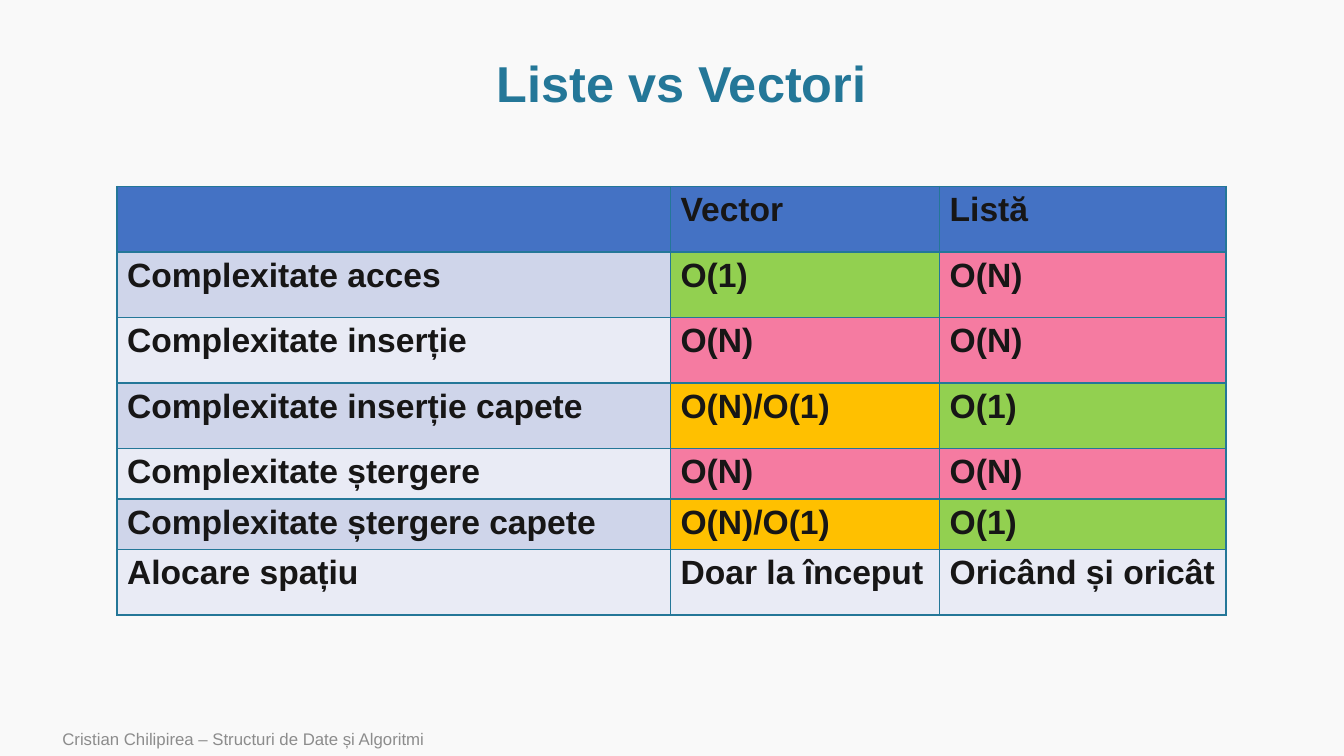
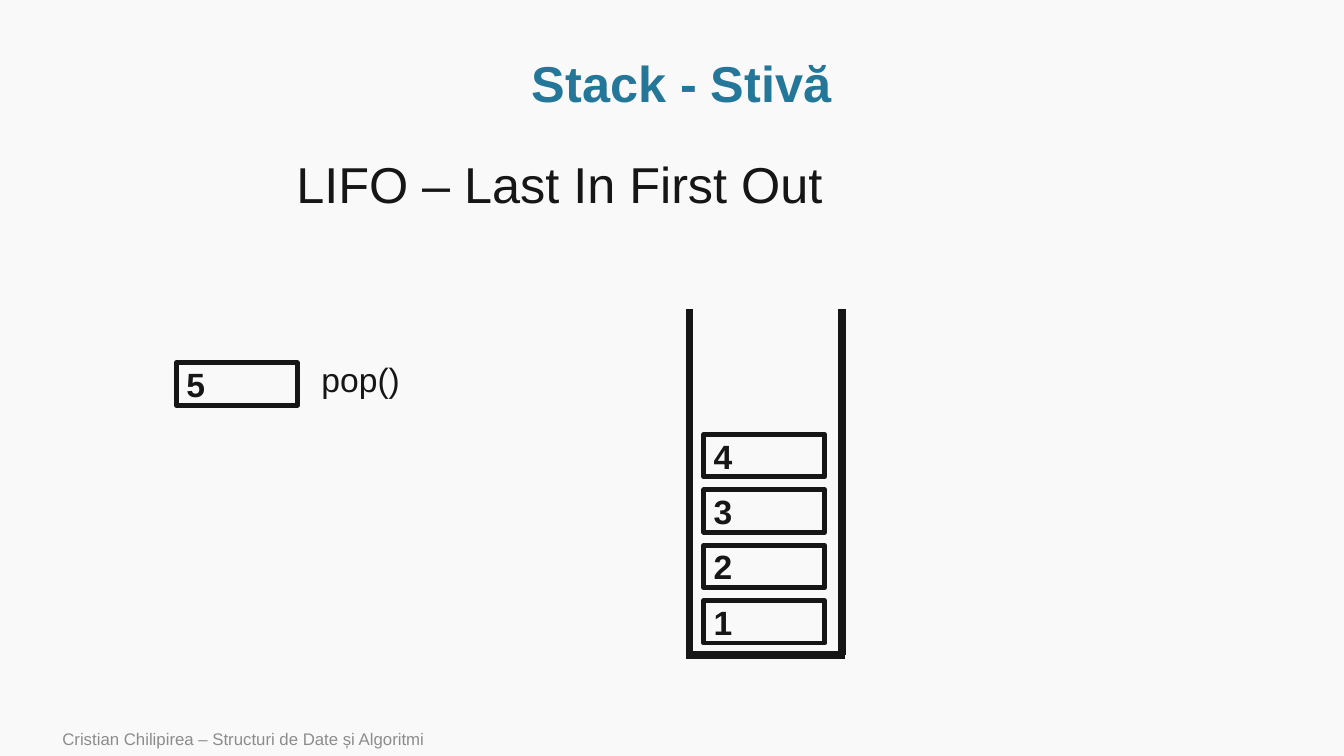
from lxml import etree
from pptx import Presentation
from pptx.dml.color import RGBColor
from pptx.enum import shapes, text
from pptx.oxml import ns
from pptx.util import Inches, Pt

FONT = "Arial"
PAPER = RGBColor(0xF9, 0xF9, 0xF9)
TEAL = RGBColor(0x24, 0x77, 0x98)
INK = RGBColor(0x17, 0x16, 0x16)
GRAY = RGBColor(0x8C, 0x8C, 0x8C)
HEADER = RGBColor(0x44, 0x72, 0xC4)
BAND_DARK = RGBColor(0xCF, 0xD5, 0xEA)
BAND_LIGHT = RGBColor(0xE9, 0xEB, 0xF5)
GOOD = RGBColor(0x92, 0xD0, 0x50)
MIXED = RGBColor(0xFF, 0xC0, 0x00)
BAD = RGBColor(0xF5, 0x7B, 0xA1)

COST_FILLS = {"O(1)": GOOD, "O(N)": BAD, "O(N)/O(1)": MIXED}
COLUMN_WIDTHS = (5.49, 2.67, 2.84)
TALL, SHORT = 0.65, 0.47
COMPARISON = (
    (TALL, ("", "Vector", "Listă")),
    (TALL, ("Complexitate acces", "O(1)", "O(N)")),
    (TALL, ("Complexitate inserție", "O(N)", "O(N)")),
    (TALL, ("Complexitate inserție capete", "O(N)/O(1)", "O(1)")),
    (SHORT, ("Complexitate ștergere", "O(N)", "O(N)")),
    (SHORT, ("Complexitate ștergere capete", "O(N)/O(1)", "O(1)")),
    (TALL, ("Alocare spațiu", "Doar la început", "Oricând și oricât")),
)


def write(frame, words, size, color=INK, bold=False):
    paragraph = frame.paragraphs[0]
    paragraph.text = words
    paragraph.alignment = text.PP_ALIGN.LEFT
    paragraph.font.name = FONT
    paragraph.font.size = Pt(size)
    paragraph.font.bold = bold
    paragraph.font.color.rgb = color
    return paragraph


def add_label(slide, box, words, size, color=INK, bold=False,
              anchor=text.MSO_ANCHOR.TOP, wrap=True):
    frame = slide.shapes.add_textbox(*map(Inches, box)).text_frame
    frame.word_wrap = wrap
    frame.vertical_anchor = anchor
    return write(frame, words, size, color, bold)


def add_base_slide(deck, title):
    slide = deck.slides.add_slide(deck.slide_layouts[6])
    slide.background.fill.solid()
    slide.background.fill.fore_color.rgb = PAPER
    middle = text.MSO_ANCHOR.MIDDLE
    add_label(slide, (0.52, 7.16, 8.4, 0.34),
              "Cristian Chilipirea – Structuri de Date și Algoritmi",
              12, GRAY, anchor=middle)
    heading = add_label(slide, (1.01, 0.51, 11.5, 0.69), title, 36, TEAL,
                        bold=True, anchor=middle)
    heading.alignment = text.PP_ALIGN.CENTER
    heading.line_spacing = 0.9
    return slide


def add_borders(cell, color, width):
    properties = cell._tc.get_or_add_tcPr()
    for side in ("lnL", "lnR", "lnT", "lnB"):
        border = etree.SubElement(properties, ns.qn(f"a:{side}"), w=str(Pt(width)))
        fill = etree.SubElement(border, ns.qn("a:solidFill"))
        etree.SubElement(fill, ns.qn("a:srgbClr"), val=str(color))


def add_comparison(slide, left, top):
    heights = [height for height, _ in COMPARISON]
    table = slide.shapes.add_table(
        len(heights), len(COLUMN_WIDTHS), Inches(left), Inches(top),
        Inches(sum(COLUMN_WIDTHS)), Inches(sum(heights))).table
    table.first_row = table.horz_banding = False
    for column, width in zip(table.columns, COLUMN_WIDTHS):
        column.width = Inches(width)
    for index, (height, entries) in enumerate(COMPARISON):
        table.rows[index].height = Inches(height)
        band = BAND_DARK if index % 2 else BAND_LIGHT
        row_fill = band if index else HEADER
        for cell, entry in zip(table.rows[index].cells, entries):
            add_borders(cell, TEAL, 1)
            cell.fill.solid()
            cell.fill.fore_color.rgb = COST_FILLS.get(entry, row_fill)
            write(cell.text_frame, entry, 24, bold=True)


def add_element(slide, left, top, value):
    element = slide.shapes.add_shape(
        shapes.MSO_SHAPE.RECTANGLE, *map(Inches, (left, top, 1.2, 0.42)))
    element.shadow.inherit = False
    element.fill.background()
    element.line.color.rgb = INK
    element.line.width = Pt(3.5)
    element.text_frame.vertical_anchor = text.MSO_ANCHOR.MIDDLE
    write(element.text_frame, str(value), 24, bold=True)


def add_wall(slide, start, end):
    wall = slide.shapes.add_connector(
        shapes.MSO_CONNECTOR.STRAIGHT, *map(Inches, start + end))
    wall.line.color.rgb = INK
    wall.line.width = Pt(5.5)
    etree.SubElement(wall._element.spPr, ns.qn("a:effectLst"))


def add_stack(slide, left, top, width, height, count):
    right, bottom = left + width, top + height
    for x in (left, right):
        add_wall(slide, (x, top), (x, bottom))
    add_wall(slide, (left - 0.04, bottom), (right + 0.03, bottom))
    for level in range(count):
        add_element(slide, left + 0.14, bottom - 0.54 - 0.55 * level, level + 1)


def add_popped(slide, left, top, value):
    add_element(slide, left, top, value)
    add_label(slide, (left + 1.34, top - 0.09, 0.99, 0.5), "pop()", 24, wrap=False)


def build_comparison_slide(deck):
    slide = add_base_slide(deck, "Liste vs Vectori")
    add_comparison(slide, 1.16, 1.85)


def build_stack_slide(deck):
    slide = add_base_slide(deck, "Stack - Stivă")
    principle = add_label(slide, (2.84, 1.54, 6.08, 0.84),
                          "LIFO – Last In First Out", 36)
    principle.line_spacing = 0.9
    add_popped(slide, 1.75, 3.6, 5)
    add_stack(slide, 6.84, 3.07, 1.51, 3.43, 4)


def main():
    deck = Presentation()
    deck.slide_width, deck.slide_height = Inches(13.33), Inches(7.5)
    build_comparison_slide(deck)
    build_stack_slide(deck)
    deck.save("out.pptx")


if __name__ == "__main__":
    main()
